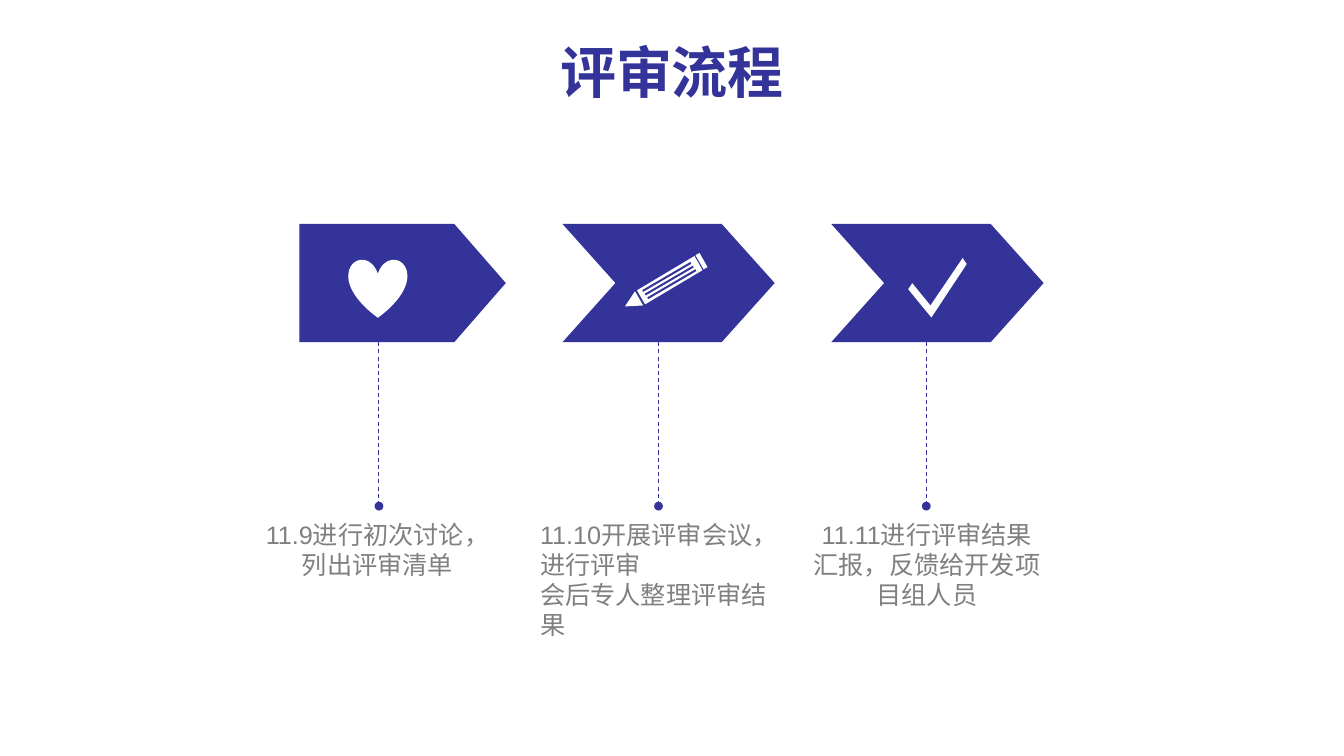
from lxml.etree import SubElement
from pptx import Presentation
from pptx.dml.color import RGBColor
from pptx.enum.dml import MSO_LINE
from pptx.enum.shapes import MSO_CONNECTOR, MSO_SHAPE
from pptx.enum.text import MSO_ANCHOR, MSO_AUTO_SIZE, PP_ALIGN
from pptx.oxml.ns import qn
from pptx.util import Pt

COLORS = {"blue": "333399", "white": "FFFFFF", "gray": "808080"}
HEAD = {"size": Pt(40), "bold": True, "name": "Arial"}
BODY = {"size": Pt(18), "bold": False, "name": "Arial"}


def paint(shape, color):
    """Give a shape a plain fill with no outline or shadow."""
    shape.shadow.inherit = False
    shape.fill.solid()
    shape.fill.fore_color.rgb = RGBColor.from_string(COLORS[color])
    shape.line.fill.background()


def write(frame, lines, style, color, align):
    """Fill a text frame, one paragraph per line."""
    frame.word_wrap = True
    frame.auto_size = MSO_AUTO_SIZE.NONE
    for i, line in enumerate(lines):
        para = frame.add_paragraph() if i else frame.paragraphs[0]
        para.alignment = align
        run = para.add_run()
        run.text = line
        for key, value in style.items():
            setattr(run.font, key, value)
        run.font.color.rgb = RGBColor.from_string(COLORS[color])


deck = Presentation()
deck.slide_width, deck.slide_height = Pt(960), Pt(540)
slide = deck.slides.add_slide(deck.slide_layouts[5])
shapes = slide.shapes

# Title
title = shapes.title
title.left, title.top, title.width, title.height = Pt(87), Pt(16.6), Pt(786), Pt(69)
title.text_frame.vertical_anchor = MSO_ANCHOR.MIDDLE
write(title.text_frame, ["评审流程"], HEAD, "blue", PP_ALIGN.CENTER)

# Steps: arrow kind, point depth, arrow left, arrow width, stem x, text left, align, text
plate, notch = MSO_SHAPE.PENTAGON, MSO_SHAPE.CHEVRON
mid, left = PP_ALIGN.CENTER, PP_ALIGN.LEFT
steps = [
    (plate, 0.436, 213.8, 147.5, 270.7, 178.6, mid,
     ["11.9进行初次讨论，列出评审清单"]),
    (notch, 0.448, 401.8, 151.5, 470.4, 378.7, left,
     ["11.10开展评审会议，进行评审", "会后专人整理评审结果"]),
    (notch, 0.448, 593.8, 151.7, 661.7, 571, mid,
     ["11.11进行评审结果汇报，反馈给开发项目组人员"]),
]
TOP, TALL, END, DOT = 160, 84.4, 358.4, 6.3

for kind, depth, x, wide, stem, edge, align, lines in steps:
    line = shapes.add_connector(
        MSO_CONNECTOR.STRAIGHT, Pt(stem), Pt(TOP + TALL), Pt(stem), Pt(END))
    line.line.color.rgb = RGBColor.from_string(COLORS["blue"])
    line.line.width = Pt(0.75)
    line.line.dash_style = MSO_LINE.DASH
    SubElement(line._element.spPr, qn("a:effectLst"))

    dot = shapes.add_shape(
        MSO_SHAPE.OVAL, Pt(stem - DOT / 2), Pt(END), Pt(DOT), Pt(DOT))
    paint(dot, "blue")

    arrow = shapes.add_shape(kind, Pt(x), Pt(TOP), Pt(wide), Pt(TALL))
    arrow.adjustments[0] = depth
    paint(arrow, "blue")

    box = shapes.add_textbox(Pt(edge), Pt(367.2), Pt(182.2), Pt(162.7))
    write(box.text_frame, lines, BODY, "gray", align)

# Icons
heart = shapes.add_shape(MSO_SHAPE.HEART, Pt(248.9), Pt(185), Pt(42), Pt(42))
paint(heart, "white")

tip = [(453.6, 208.1), (459.4, 218.2), (446.4, 218.9)]
shaft = [(496.1, 182.9), (501.8, 193), (460.8, 217.4), (455, 207.4)]
cap = [(499.7, 180.7), (505.4, 190.8), (502.6, 192.4), (496.8, 182.3)]
groove = [(496.8, 192.2), (462.2, 212.4), (463, 213.8), (497.5, 193.7)]
grooves = [[(x - 1.8 * i, y - 2.6 * i) for x, y in groove] for i in range(3)]
check = [(687.6, 184.3), (690.5, 188.6), (665.3, 226.8),
         (648.7, 206.6), (651.6, 202.3), (664.6, 218.2)]

for icon in ([tip, *grooves, shaft, cap], [check]):
    pen = None
    for ring in icon:
        first, *rest = [(Pt(x), Pt(y)) for x, y in ring]
        if pen:
            pen.move_to(*first)
        else:
            pen = shapes.build_freeform(*first)
        pen.add_line_segments(rest, close=True)
    paint(pen.convert_to_shape(), "white")

deck.save("out.pptx")
